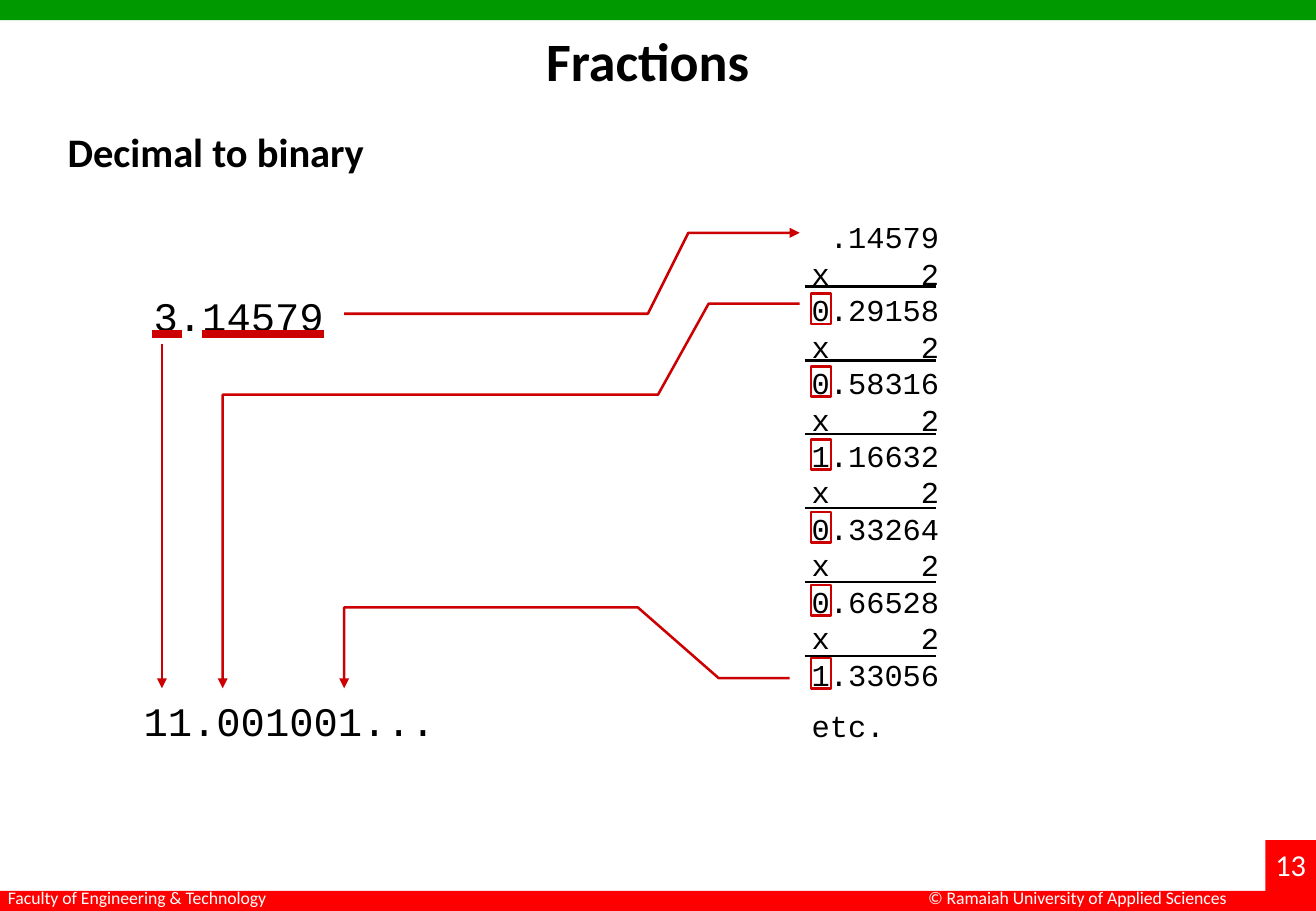
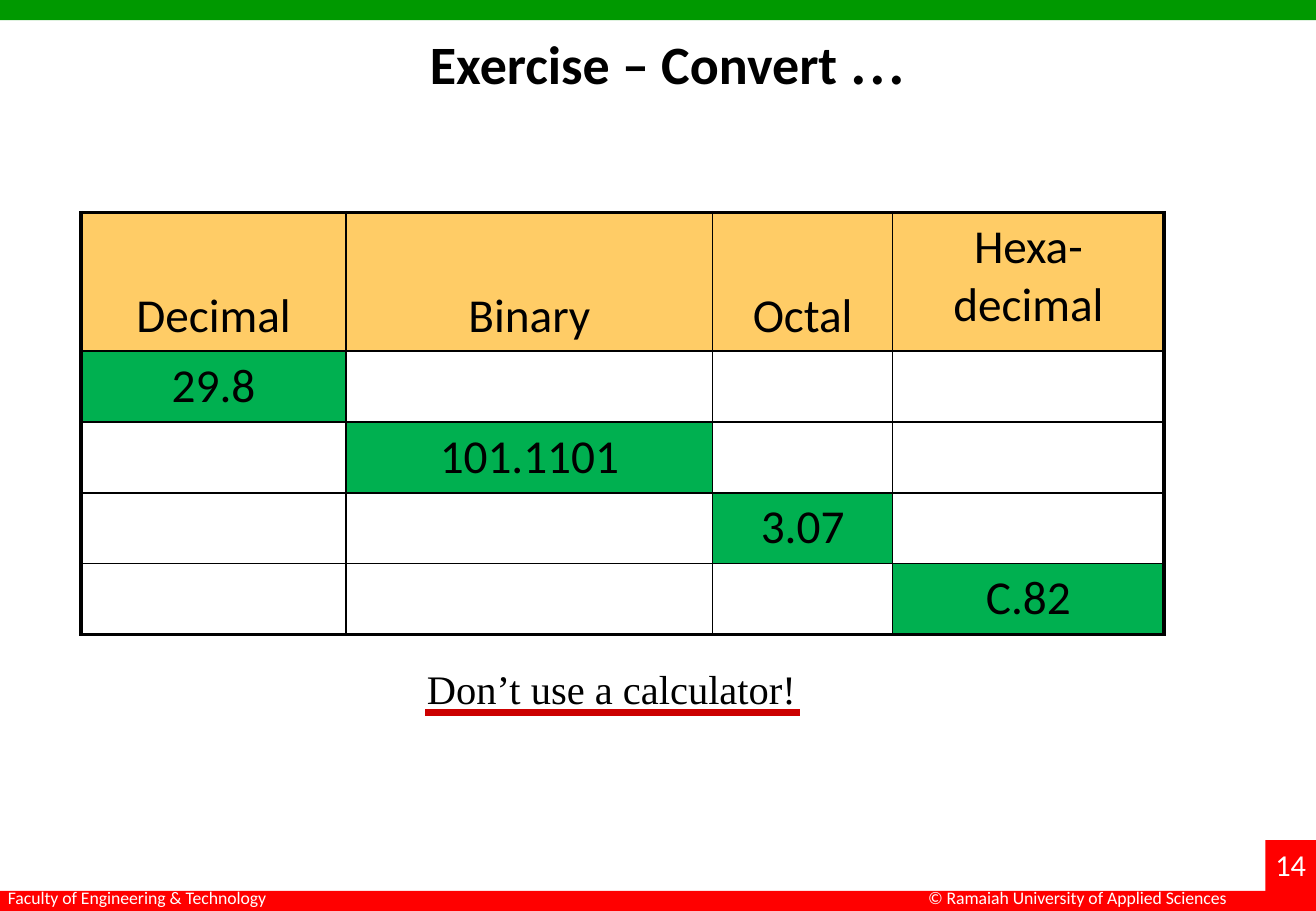
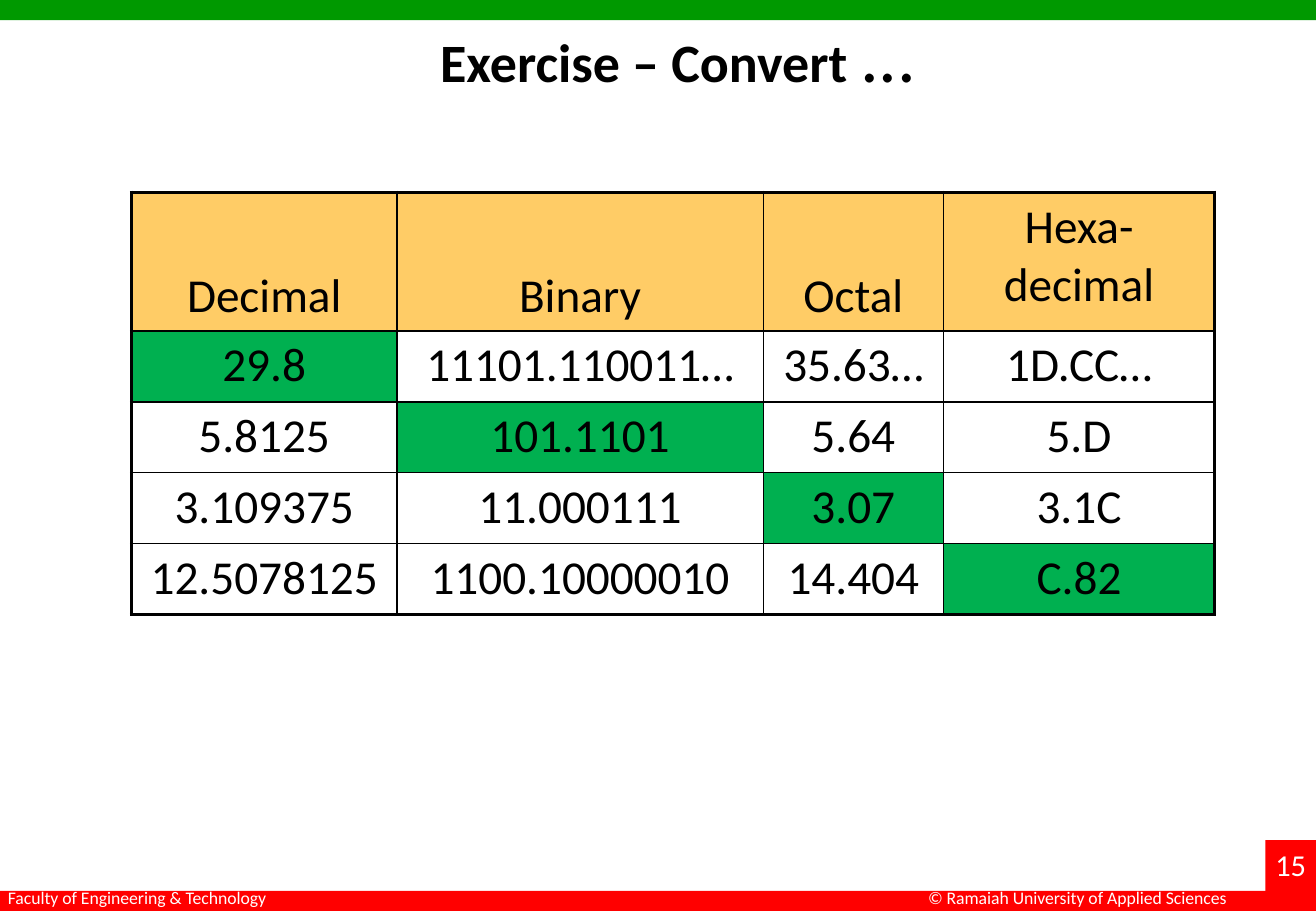
from dataclasses import dataclass

from lxml.etree import SubElement
from pptx import Presentation
from pptx.dml.color import RGBColor
from pptx.enum.shapes import MSO_CONNECTOR, MSO_SHAPE
from pptx.enum.text import MSO_ANCHOR, MSO_AUTO_SIZE, PP_ALIGN
from pptx.oxml.ns import qn
from pptx.util import Emu, Inches, Pt

COLUMNS, ROWS = 130, 90
CELL = Inches(1) / 12
TITLE_ONLY = 5
FIRST_PAGE_NUMBER = 13

BLACK = RGBColor(0x00, 0x00, 0x00)
WHITE = RGBColor(0xFF, 0xFF, 0xFF)
BAND_GREEN = RGBColor(0x00, 0x99, 0x00)
BAND_RED = RGBColor(0xFF, 0x00, 0x00)
MARK_RED = RGBColor(0xCC, 0x00, 0x00)
HEADER_ORANGE = RGBColor(0xFF, 0xCC, 0x66)
GIVEN_GREEN = RGBColor(0x00, 0xB0, 0x50)

SANS, MONO, SERIF = "Calibri", "Courier New", "Times New Roman"

TABLE_HEADER = ("Decimal", "Binary", "Octal", "Hexa-\vdecimal")
COLUMN_SHARES = (26.2, 36.2, 17.8, 26.8)
ROW_SHARES = (13.7, 7, 7, 7, 7)
ANSWERS = (
    ("29.8", "11101.110011…", "35.63…", "1D.CC…"),
    ("5.8125", "101.1101", "5.64", "5.D"),
    ("3.109375", "11.000111", "3.07", "3.1C"),
    ("12.5078125", "1100.10000010", "14.404", "C.82"),
)
EXERCISE_TITLE = (("Exercise – Convert ", 32, True), ("...", 44, False))
PRODUCTS = ("0.29158", "0.58316", "1.16632", "0.33264", "0.66528", "1.33056")


def grid(cells):
    """Turn a number of grid cells into a length."""
    return Emu(round(cells * CELL))


@dataclass(frozen=True)
class Box:
    """A region of the page, measured in grid cells."""

    left: float
    top: float
    width: float
    height: float

    def frame(self):
        """Return left, top, width and height as lengths."""
        return tuple(map(grid, (self.left, self.top, self.width, self.height)))

    def point(self, column, row):
        """Return a point counted from the corner of the box."""
        return grid(self.left + column), grid(self.top + row)

    def inner(self, column, row, width, height):
        """Return a box counted from the corner of this one."""
        return Box(self.left + column, self.top + row, width, height)


PAGE = Box(0, 0, COLUMNS, ROWS)


def style_span(span, size, font=SANS, color=BLACK, bold=False):
    """Format one run of text."""
    span.font.name = font
    span.font.size = Pt(size)
    span.font.color.rgb = color
    span.font.bold = bold


def add_text(page, box, text, size, font=SANS, color=BLACK, bold=False, wrap=False):
    """Add a text box with one style throughout and return its frame."""
    frame = page.shapes.add_textbox(*box.frame()).text_frame
    frame.word_wrap = wrap
    frame.text = text
    for para in frame.paragraphs:
        for span in para.runs:
            style_span(span, size, font, color, bold)
    return frame


def add_rectangle(page, box, fill=None, outline=None):
    """Add a filled or an outlined rectangle."""
    shape = page.shapes.add_shape(MSO_SHAPE.RECTANGLE, *box.frame())
    shape.shadow.inherit = False
    if fill is None:
        shape.fill.background()
    else:
        shape.fill.solid()
        shape.fill.fore_color.rgb = fill
    if outline is None:
        shape.line.fill.background()
    else:
        style_line(shape.line, outline, 1.5)


def style_line(line, color, width, arrow=False):
    """Set colour, width and arrowhead of a line."""
    line.color.rgb = color
    line.width = Pt(width)
    if arrow:
        SubElement(line._get_or_add_ln(), qn("a:tailEnd"), type="triangle")


def add_line(page, start, end, color, width, arrow=False):
    """Add a straight line between two points."""
    connector = page.shapes.add_connector(MSO_CONNECTOR.STRAIGHT, *start, *end)
    style_line(connector.line, color, width, arrow)
    SubElement(connector._element.spPr, qn("a:effectLst"))


def add_bent_arrow(page, box, stops):
    """Add an open arrow through several grid points of a box."""
    start, *others = [box.point(*stop) for stop in stops]
    builder = page.shapes.build_freeform(*start)
    builder.add_line_segments(others, close=False)
    shape = builder.convert_to_shape()
    shape.shadow.inherit = False
    shape.fill.background()
    style_line(shape.line, MARK_RED, 1.5, arrow=True)


def add_title(page, box, spans):
    """Place the title placeholder and fill it with runs."""
    title = page.shapes.title
    title.left, title.top, title.width, title.height = box.frame()
    frame = title.text_frame
    frame.auto_size = MSO_AUTO_SIZE.NONE
    frame.vertical_anchor = MSO_ANCHOR.MIDDLE
    para = frame.paragraphs[0]
    para.alignment = PP_ALIGN.CENTER
    for text, size, bold in spans:
        span = para.add_run()
        span.text = text
        style_span(span, size, bold=bold)


def add_bands(page, box, number):
    """Draw the top band, the footer and the page number."""
    band = 2
    corner = box.inner(box.width - 5, box.height - 7, 5, 7)
    add_rectangle(page, box.inner(0, 0, box.width, band), BAND_GREEN)
    add_rectangle(page, box.inner(0, box.height - band, box.width, band), BAND_RED)
    add_rectangle(page, corner, BAND_RED)
    add_text(page, corner.inner(-0.2, 0, 6, 4.8), str(number), 18, color=WHITE)
    for column, width, text in (
        (90.5, 32.9, "© Ramaiah University of Applied Sciences"),
        (-0.4, 28.6, "Faculty of Engineering & Technology"),
    ):
        add_text(page, box.inner(column, box.height - 3, width, 3.4), text, 10.5, color=WHITE)


def add_page(deck, number, title_box, title_spans):
    """Add a page with its bands and title."""
    page = deck.slides.add_slide(deck.slide_layouts[TITLE_ONLY])
    add_bands(page, PAGE, number)
    add_title(page, title_box, title_spans)
    return page


def add_multiplication(page, box):
    """Write the repeated doubling with its rules and marked digits."""
    steps = "".join(f"\vx\t2\v{product}" for product in PRODUCTS)
    frame = add_text(page, box, f"\t.14579{steps}\netc.", 18, MONO, wrap=True)
    sums, ending = frame.paragraphs
    sums.line_spacing = ending.line_spacing = Pt(21.6)
    ending.space_before = Pt(9)
    tabs = SubElement(sums._p.get_or_add_pPr(), qn("a:tabLst"))
    SubElement(tabs, qn("a:tab"), pos=str(Inches(1.05)), algn="r")
    for step in range(len(PRODUCTS)):
        row = 7.3 + 7.3 * step
        add_line(page, box.point(0.5, row), box.point(13.5, row), BLACK, 1.5)
        add_rectangle(page, box.inner(1.1, 8 + 7.2 * step, 2, 3), outline=MARK_RED)


def add_conversion(page, box):
    """Show how the digits of a decimal fraction turn into binary."""
    add_text(page, box.inner(5.5, 12, 102, 6), "Decimal to binary", 24, bold=True, wrap=True)
    add_text(page, box.inner(14, 28.2, 19.5, 6), "3.14579", 24, MONO, wrap=True)
    add_text(page, box.inner(13, 68.2, 35, 6), "11.001001...", 24, MONO, wrap=True)
    add_multiplication(page, box.inner(79, 21, 19.5, 53.5))
    for first, last in ((15, 18), (20, 32)):
        add_line(page, box.point(first, 33), box.point(last, 33), MARK_RED, 4.5)
    add_line(page, box.point(16, 34), box.point(16, 68), MARK_RED, 1.5, arrow=True)
    for stops in (
        ((34, 31), (64, 31), (68, 23), (79, 23)),
        ((79, 30), (70, 30), (65, 39), (22, 39), (22, 68)),
        ((78, 67), (71, 67), (63, 60), (34, 60), (34, 68)),
    ):
        add_bent_arrow(page, box, stops)


def style_borders(cell, outer):
    """Draw the four borders of a cell, thicker on the outer sides."""
    properties = cell._tc.get_or_add_tcPr()
    for index, side in enumerate("LRTB"):
        width = Pt(2.25 if side in outer else 1)
        line = SubElement(properties, qn(f"a:ln{side}"), w=str(width))
        fill = SubElement(line, qn("a:solidFill"))
        SubElement(fill, qn("a:srgbClr"), val=str(BLACK))
        properties.insert(index, line)


def fill_cell(cell, text, fill):
    """Write and colour one table cell."""
    if fill is None:
        cell.fill.background()
    else:
        cell.fill.solid()
        cell.fill.fore_color.rgb = fill
    cell.text = text
    para = cell.text_frame.paragraphs[0]
    para.alignment = PP_ALIGN.CENTER
    for span in para.runs:
        style_span(span, 28)


def add_number_table(page, box, solved):
    """Add the conversion table, with all answers or the given values only."""
    last_row, last_column = len(ROW_SHARES) - 1, len(COLUMN_SHARES) - 1
    table = page.shapes.add_table(last_row + 1, last_column + 1, *box.frame()).table
    table.first_row = table.horz_banding = False
    for column, share in zip(table.columns, COLUMN_SHARES):
        column.width = grid(box.width * share / sum(COLUMN_SHARES))
    for row, share in zip(table.rows, ROW_SHARES):
        row.height = grid(box.height * share / sum(ROW_SHARES))
    for row, texts in enumerate((TABLE_HEADER, *ANSWERS)):
        for column, text in enumerate(texts):
            cell = table.cell(row, column)
            header, given = row == 0, row == column + 1
            fill = HEADER_ORANGE if header else GIVEN_GREEN if given else None
            fill_cell(cell, text if header or given or solved else "", fill)
            if header and column < last_column:
                cell.vertical_anchor = MSO_ANCHOR.BOTTOM
            edges = {"L": column == 0, "R": column == last_column,
                     "T": row == 0, "B": row == last_row}
            style_borders(cell, [side for side, outer in edges.items() if outer])


def add_underlined_note(page, box, text):
    """Write a note over a thick red line."""
    add_text(page, box, text, 24, SERIF)
    add_line(page, box.point(1, 5.4), box.point(box.width - 1, 5.4), MARK_RED, 4.5)


def main():
    """Build the three pages and save the deck."""
    deck = Presentation()
    deck.slide_width, deck.slide_height = grid(COLUMNS), grid(ROWS)

    page = add_page(deck, FIRST_PAGE_NUMBER, Box(13, 2.1, 102, 7.7), (("Fractions", 32, True),))
    add_conversion(page, PAGE)

    page = add_page(deck, FIRST_PAGE_NUMBER + 1, Box(15, 0.4, 102, 10), EXERCISE_TITLE)
    add_number_table(page, Box(8, 21, 107, 41.7), solved=False)
    add_underlined_note(page, Box(41, 65, 39, 6), "Don’t use a calculator!")

    page = add_page(deck, FIRST_PAGE_NUMBER + 2, Box(16, 0.2, 102, 10), EXERCISE_TITLE)
    add_number_table(page, Box(13, 19, 107, 41.7), solved=True)

    deck.save("out.pptx")


if __name__ == "__main__":
    main()
